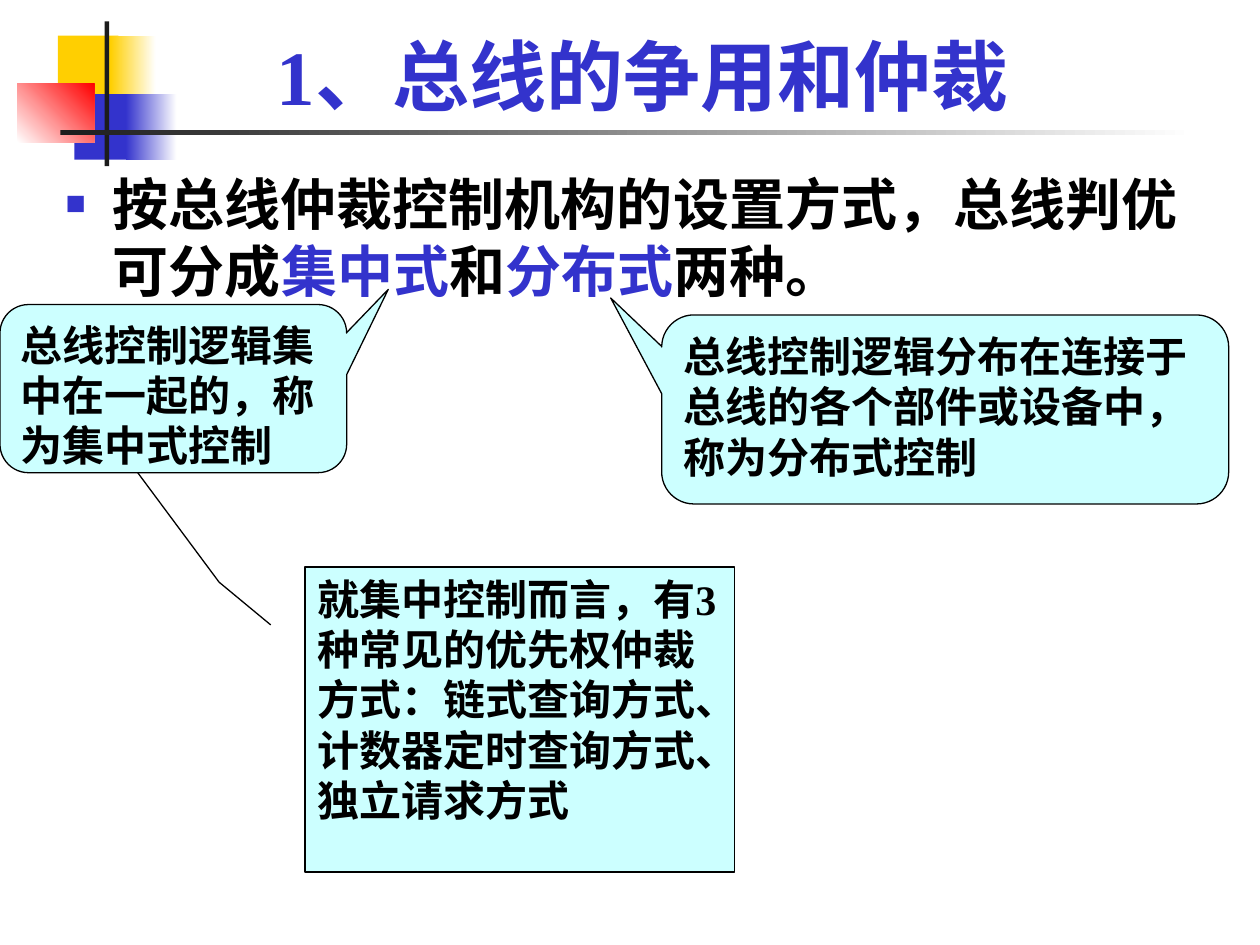
"""Build a slide on bus contention and arbitration with three callouts."""

from dataclasses import dataclass

from lxml.etree import SubElement
from pptx import Presentation
from pptx.dml.color import RGBColor
from pptx.enum.shapes import MSO_SHAPE
from pptx.enum.text import MSO_ANCHOR, MSO_AUTO_SIZE, PP_ALIGN
from pptx.oxml.ns import qn
from pptx.util import Cm, Pt


@dataclass(frozen=True)
class Theme:
    blue: str = "3333CC"
    yellow: str = "FFCF01"
    red: str = "FF0000"
    dark: str = "1C1C1C"
    white: str = "FFFFFF"
    black: str = "000000"
    bubble: str = "CCFFFF"
    serif: str = "Times New Roman"
    sans: str = "Karla"
    title_size: int = 44
    body_size: int = 32
    note_size: int = 24
    line_width: float = 0.75


THEME = Theme()

TITLE = "1、总线的争用和仲裁"
TITLE_AREA = (1.07, 0.2, 23.77, 2.36)
BODY = [
    ("按总线仲裁控制机构的设置方式，总线判优可分成", THEME.black),
    ("集中式", THEME.blue),
    ("和", THEME.black),
    ("分布式", THEME.blue),
    ("两种。", THEME.black),
]
BODY_AREA = (1.07, 3.28, 23.83, 4.34)
BULLET_INDENT = 0.95

DECORATIONS = [
    ((1.17, 0.72, 1.22, 1.32), [THEME.yellow], 0),
    ((2.23, 0.72, 0.91, 1.32), [THEME.yellow, THEME.white], 0),
    ((1.5, 1.9, 1.17, 1.32), [THEME.blue], 0),
    ((2.54, 1.9, 1.02, 1.32), [THEME.blue, THEME.white], 0),
    ((0.35, 1.69, 1.55, 1.18), [THEME.white, THEME.red], 45),
    ((2.11, 0.43, 0.09, 2.92), [THEME.dark], 0),
    ((1.22, 2.62, 22.86, 0.1), [THEME.dark, THEME.white], 0),
]

ROUND = MSO_SHAPE.ROUNDED_RECTANGULAR_CALLOUT
BENT = MSO_SHAPE.LINE_CALLOUT_2
CALLOUTS = [
    (ROUND, (0, 6.14, 6.99, 3.39), (0.62, -0.59, 0.17), THEME.sans,
     "总线控制逻辑集中在一起的，称为集中式控制"),
    (ROUND, (13.34, 6.35, 11.43, 3.81), (-0.59, -0.59, 0.17), THEME.sans,
     "总线控制逻辑分布在连接于总线的各个部件或设备中，称为分布式控制"),
    (BENT, (6.15, 11.43, 8.66, 6.15), (0.19, -0.08, 0.05, -0.2, -0.31, -0.39), THEME.serif,
     "就集中控制而言，有3种常见的优先权仲裁方式：链式查询方式、计数器定时查询方式、独立请求方式"),
]


def color(value):
    return RGBColor.from_string(value)


def add_span(paragraph, text, font_name, size, ink):
    span = paragraph.add_run()
    span.text = text
    span.font.name = font_name
    span.font.size = Pt(size)
    span.font.bold = True
    span.font.color.rgb = color(ink)


def add_filled_shape(page, kind, area, colors, angle=0):
    shape = page.shapes.add_shape(kind, *map(Cm, area))
    shape.shadow.inherit = False
    shape.line.fill.background()
    if len(colors) == 1:
        shape.fill.solid()
        shape.fill.fore_color.rgb = color(colors[0])
    else:
        shape.fill.gradient()
        shape.fill.gradient_angle = angle
        for stop, value, position in zip(shape.fill.gradient_stops, colors, (0, 1)):
            stop.color.rgb = color(value)
            stop.position = position
    return shape


def place_placeholder(page, holder, area, anchor):
    holder.left, holder.top, holder.width, holder.height = map(Cm, area)
    frame = holder.text_frame
    frame.word_wrap = True
    frame.auto_size = MSO_AUTO_SIZE.NONE
    frame.vertical_anchor = anchor
    page.shapes._spTree.append(holder._element)
    paragraph = frame.paragraphs[0]
    paragraph.space_before = Pt(0)
    return paragraph


def add_bullet(paragraph):
    properties = paragraph._p.get_or_add_pPr()
    properties.set("marL", str(Cm(BULLET_INDENT)))
    properties.set("indent", str(-Cm(BULLET_INDENT)))
    SubElement(SubElement(properties, qn("a:buClr")), qn("a:srgbClr"), val=THEME.blue)
    SubElement(properties, qn("a:buSzPct"), val="60000")
    SubElement(properties, qn("a:buChar"), char="■")


def add_callout(page, kind, area, adjustments, font_name, text):
    box = add_filled_shape(page, kind, area, [THEME.bubble])
    box.line.color.rgb = color(THEME.black)
    box.line.width = Pt(THEME.line_width)
    for index, value in enumerate(adjustments):
        box.adjustments[index] = value
    frame = box.text_frame
    frame.word_wrap = True
    frame.vertical_anchor = MSO_ANCHOR.TOP
    paragraph = frame.paragraphs[0]
    paragraph.alignment = PP_ALIGN.LEFT
    add_span(paragraph, text, font_name, THEME.note_size, THEME.black)


def main():
    deck = Presentation()
    deck.slide_width, deck.slide_height = Cm(25.4), Cm(19.05)
    page = deck.slides.add_slide(deck.slide_layouts[1])

    for area, colors, angle in DECORATIONS:
        add_filled_shape(page, MSO_SHAPE.RECTANGLE, area, colors, angle)

    title = place_placeholder(page, page.shapes.title, TITLE_AREA, MSO_ANCHOR.BOTTOM)
    title.alignment = PP_ALIGN.CENTER
    add_span(title, TITLE, THEME.serif, THEME.title_size, THEME.blue)

    body = place_placeholder(page, page.placeholders[1], BODY_AREA, MSO_ANCHOR.TOP)
    add_bullet(body)
    for text, ink in BODY:
        add_span(body, text, THEME.sans, THEME.body_size, ink)

    for callout in CALLOUTS:
        add_callout(page, *callout)

    deck.save("out.pptx")


if __name__ == "__main__":
    main()
